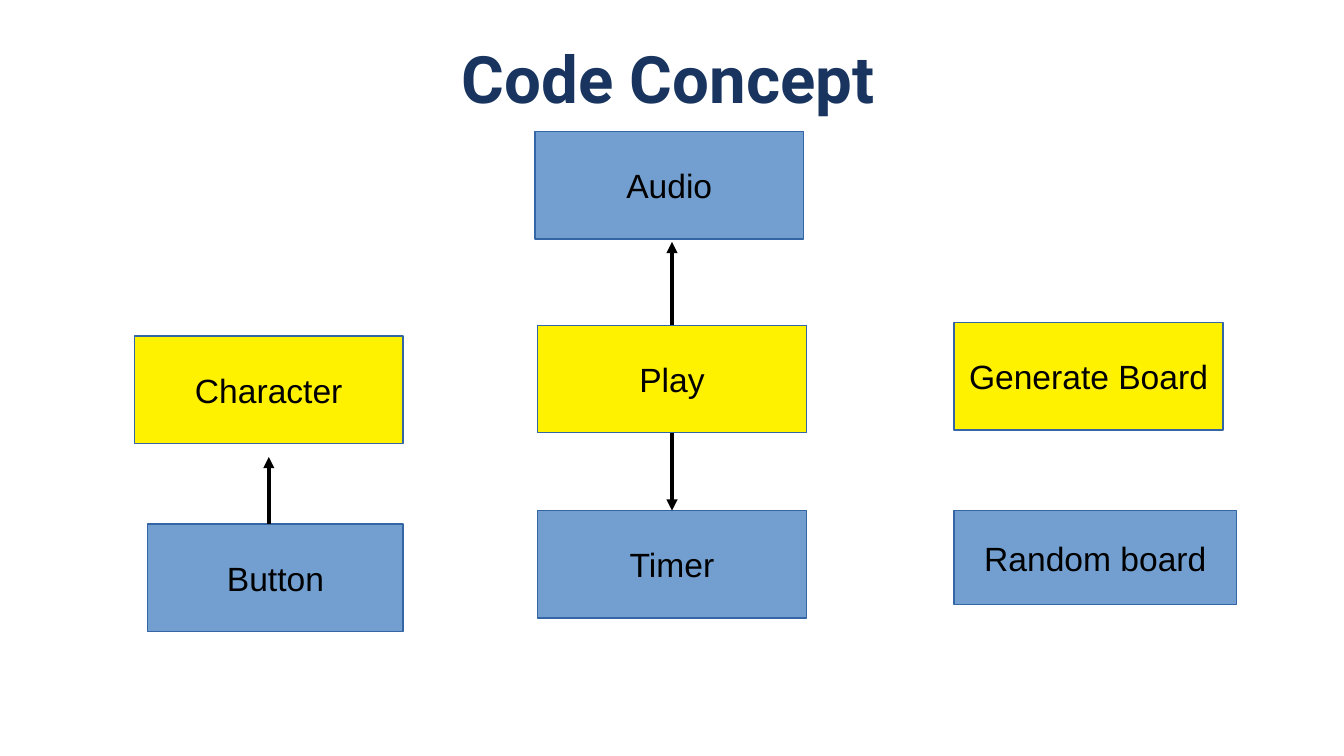
from lxml import etree
from pptx import Presentation
from pptx.dml.color import RGBColor
from pptx.enum.shapes import MSO_CONNECTOR, MSO_SHAPE
from pptx.enum.text import MSO_ANCHOR, PP_ALIGN
from pptx.oxml.ns import qn
from pptx.util import Inches, Pt

RECTANGLE = MSO_SHAPE.RECTANGLE
STRAIGHT = MSO_CONNECTOR.STRAIGHT
MIDDLE = MSO_ANCHOR.MIDDLE
CENTER = PP_ALIGN.CENTER
TOP, BOTTOM = 0, 2

COLORS = {
    "navy": "19355F",
    "blue": "729FCF",
    "yellow": "FFF200",
    "border": "3465A4",
    "black": "000000",
}
WIDTH = 10
HEIGHT = WIDTH * 9 / 16
HAIRLINE = 0
BOX_WIDTH, BOX_HEIGHT = 2, 0.8
LEFT_COLUMN, MIDDLE_COLUMN, RIGHT_COLUMN = 1, 4, 7.1

TITLE = "Code Concept "
BOXES = [
    ("Timer", "blue", MIDDLE_COLUMN, 3.8, BOX_WIDTH, BOX_HEIGHT),
    ("Generate Board", "yellow", RIGHT_COLUMN, 2.4, BOX_WIDTH, BOX_HEIGHT),
    ("Character", "yellow", LEFT_COLUMN, 2.5, BOX_WIDTH, BOX_HEIGHT),
    ("Audio", "blue", MIDDLE_COLUMN - 0.02, 0.98, BOX_WIDTH, BOX_HEIGHT),
    ("Play", "yellow", MIDDLE_COLUMN, 2.42, BOX_WIDTH, BOX_HEIGHT),
    ("Button", "blue", LEFT_COLUMN + 0.1, 3.9, BOX_WIDTH - 0.1, BOX_HEIGHT),
    ("Random board", "blue", RIGHT_COLUMN, 3.8, BOX_WIDTH + 0.1, BOX_HEIGHT - 0.1),
]
ARROWS = [
    (MIDDLE_COLUMN + BOX_WIDTH / 2, 2.42, 1.8, ("Play", TOP), None),
    (MIDDLE_COLUMN + BOX_WIDTH / 2, 3.22, 3.8, ("Play", BOTTOM), ("Timer", TOP)),
    (LEFT_COLUMN + BOX_WIDTH / 2, 3.9, 3.4, None, None),
]


def rgb(name):
    return RGBColor.from_string(COLORS[name])


def write(shape, text, inset, size, font, color, bold, **paragraph_format):
    frame = shape.text_frame
    frame.text = text
    across, down = (Inches(value) for value in inset)
    for name, value in {
        "margin_left": across,
        "margin_right": across,
        "margin_top": down,
        "margin_bottom": down,
        "vertical_anchor": MIDDLE,
    }.items():
        setattr(frame, name, value)
    paragraph = frame.paragraphs[0]
    for name, value in {"alignment": CENTER, **paragraph_format}.items():
        setattr(paragraph, name, value)
    run_font = paragraph.runs[0].font
    for name, value in {"size": Pt(size), "name": font, "bold": bold}.items():
        setattr(run_font, name, value)
    run_font.color.rgb = rgb(color)


def add_box(slide, label, fill, *place):
    box = slide.shapes.add_shape(RECTANGLE, *map(Inches, place))
    box.shadow.inherit = False
    box.fill.solid()
    box.fill.fore_color.rgb = rgb(fill)
    box.line.color.rgb = rgb("border")
    box.line.width = Pt(HAIRLINE)
    write(box, label, (0.1, 0.05), 18, "Arial", "black", False)
    box.text_frame.word_wrap = False
    return box


def add_arrow(slide, boxes, x, start, end, source, target):
    arrow = slide.shapes.add_connector(
        STRAIGHT, Inches(x), Inches(start), Inches(x), Inches(end)
    )
    if source:
        arrow.begin_connect(boxes[source[0]], source[1])
    if target:
        arrow.end_connect(boxes[target[0]], target[1])
    arrow.line.color.rgb = rgb("black")
    arrow.line.width = Pt(HAIRLINE)
    properties = arrow.line._get_or_add_ln()
    etree.SubElement(properties, qn("a:tailEnd"), type="triangle")
    etree.SubElement(properties.getparent(), qn("a:effectLst"))


def main():
    deck = Presentation()
    deck.slide_width, deck.slide_height = Inches(WIDTH), Inches(HEIGHT)
    slide = deck.slides.add_slide(deck.slide_layouts[5])

    title = slide.shapes.title
    title.left, title.top = Inches(0.26), Inches(0.15)
    title.width, title.height = Inches(9.55), Inches(0.93)
    write(title, TITLE, (0.07, 0.04), 35, "Roboto", "navy", True, line_spacing=0.9)

    boxes = {box[0]: add_box(slide, *box) for box in BOXES}
    for arrow in ARROWS:
        add_arrow(slide, boxes, *arrow)

    deck.save("out.pptx")


if __name__ == "__main__":
    main()
